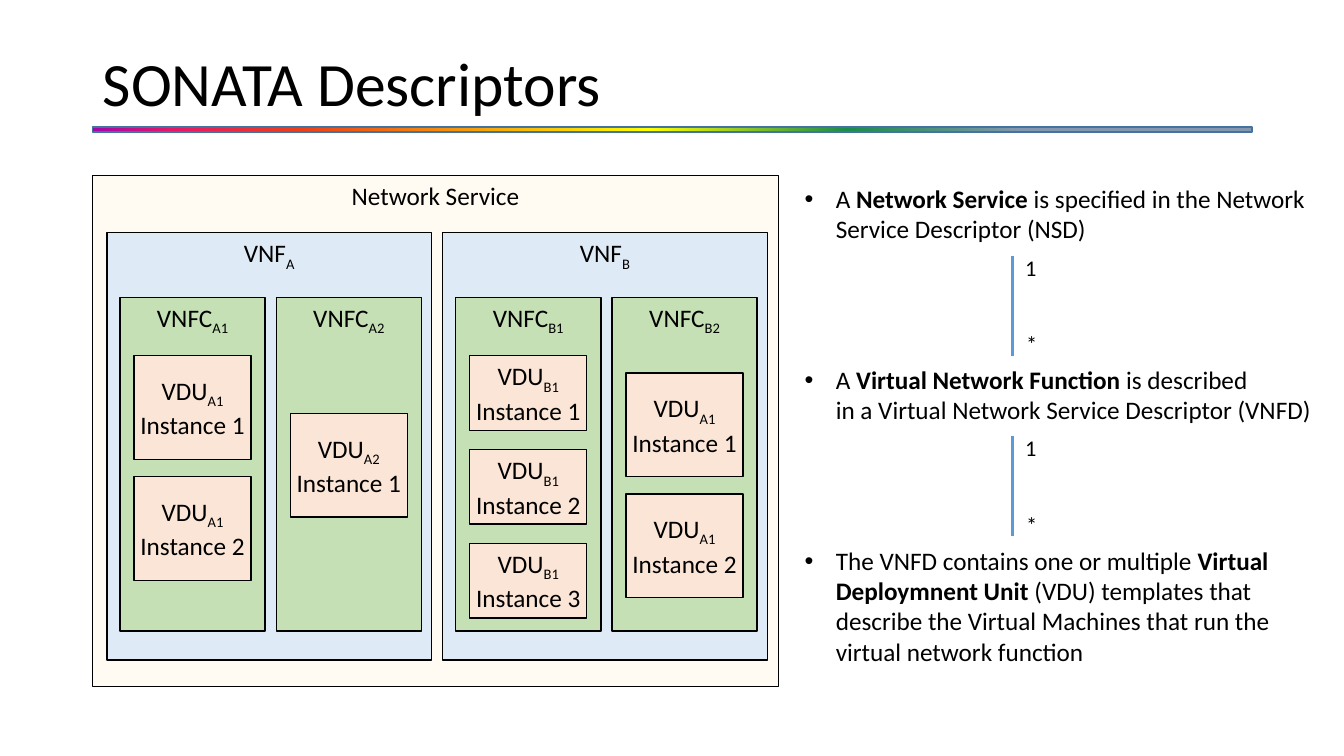
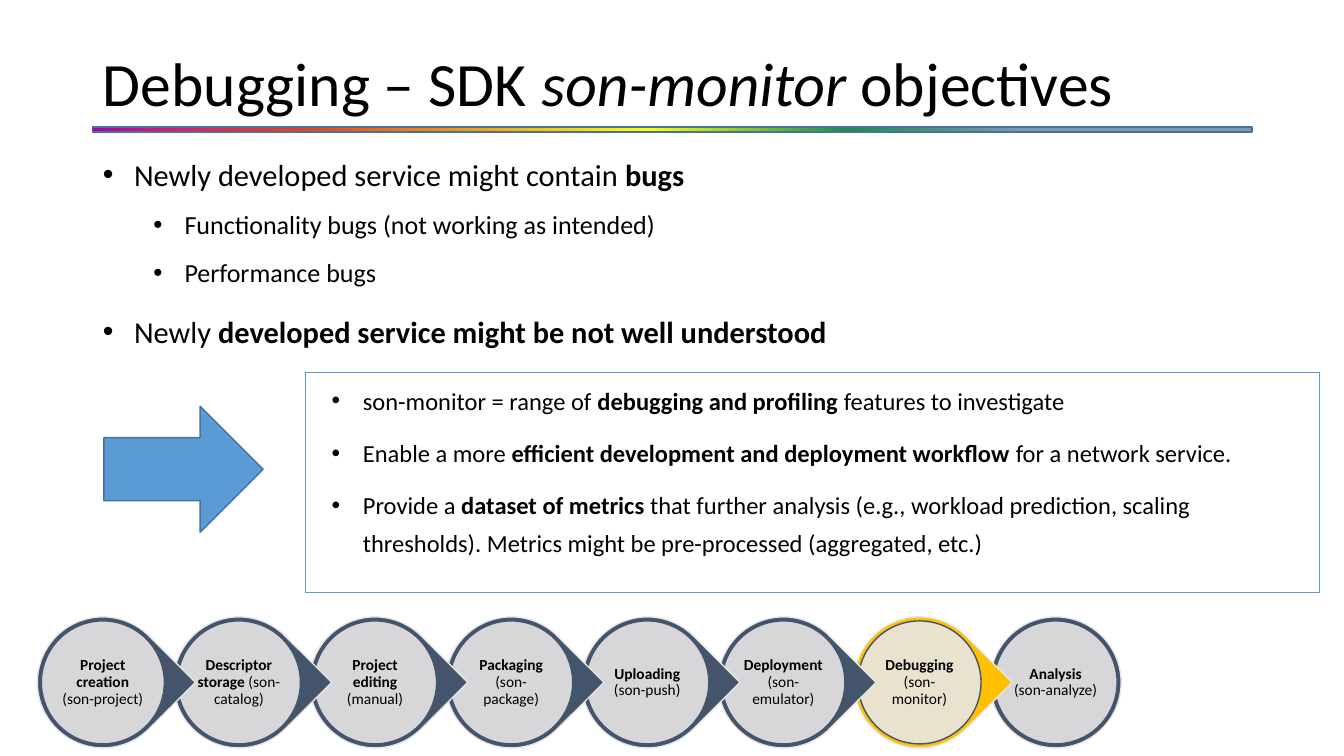
from lxml import etree
from pptx import Presentation
from pptx.dml.color import RGBColor
from pptx.enum.shapes import MSO_CONNECTOR, MSO_SHAPE
from pptx.enum.text import MSO_ANCHOR, MSO_AUTO_SIZE, PP_ALIGN
from pptx.oxml.ns import qn
from pptx.util import Inches, Pt

RECTANGLE = MSO_SHAPE.RECTANGLE
ELLIPSE = MSO_SHAPE.OVAL
TEARDROP = MSO_SHAPE.TEAR
RIGHT_ARROW = MSO_SHAPE.RIGHT_ARROW
STRAIGHT = MSO_CONNECTOR.STRAIGHT
TOP, MIDDLE = MSO_ANCHOR.TOP, MSO_ANCHOR.MIDDLE
LEFT, CENTER = PP_ALIGN.LEFT, PP_ALIGN.CENTER
NO_AUTOFIT = MSO_AUTO_SIZE.NONE

FONT = "Calibri"
BLACK, WHITE = "000000", "FFFFFF"
BLUE, DARK_BLUE = "5B9BD5", "43739E"
SLATE, LIGHT_GREY, AMBER = "44546A", "E7E6E6", "FFC000"
CREAM, PALE_BLUE, PALE_GREEN, PEACH = "FFF2CC", "DEEBF7", "C5E0B4", "FBE5D6"
RAINBOW = [(0, "A603AB"), (7, "E81766"), (18, "EE3F17"),
           (48, "FFFF00"), (65, "1A8D48"), (80, "8497B0")]
MARGIN, CONTENT_WIDTH = 0.92, 11.5


def color(value):
    return RGBColor.from_string(value)


class Deck:
    """Holds the shared style and the slide being built."""

    def __init__(self):
        self.presentation = Presentation()
        self.presentation.slide_width = Inches(13.33)
        self.presentation.slide_height = Inches(7.5)
        self.slide = None

    def new_slide(self, title_runs):
        layout = self.presentation.slide_layouts[1]
        self.slide = self.presentation.slides.add_slide(layout)
        self.rainbow_bar()
        title = self.slide.shapes.title
        self.place(title, MARGIN, 0.4, CONTENT_WIDTH, 0.91)
        self.frame(title, MIDDLE)
        self.add_runs(title.text_frame.paragraphs[0], title_runs, 44, LEFT, 0.9)

    def rainbow_bar(self):
        bar = self.shape(RECTANGLE, MARGIN, 1.26, CONTENT_WIDTH, 0.05, WHITE, DARK_BLUE)
        properties = bar._element.spPr
        solid = properties.find(qn("a:solidFill"))
        gradient = etree.Element(qn("a:gradFill"), rotWithShape="1")
        stops = etree.SubElement(gradient, qn("a:gsLst"))
        for position, value in RAINBOW:
            stop = etree.SubElement(stops, qn("a:gs"), pos=str(position * 1000))
            etree.SubElement(stop, qn("a:srgbClr"), val=value)
        etree.SubElement(gradient, qn("a:lin"), ang="0", scaled="0")
        properties.replace(solid, gradient)

    def place(self, shape, left, top, width, height):
        shape.left, shape.top = Inches(left), Inches(top)
        shape.width, shape.height = Inches(width), Inches(height)

    def frame(self, shape, anchor=TOP, side=0.1, edge=0.05, wrap=True):
        text_frame = shape.text_frame
        text_frame.auto_size = NO_AUTOFIT
        text_frame.word_wrap = wrap
        text_frame.vertical_anchor = anchor
        text_frame.margin_left = text_frame.margin_right = Inches(side)
        text_frame.margin_top = text_frame.margin_bottom = Inches(edge)
        return text_frame

    def add_runs(self, paragraph, runs, size, align=LEFT, spacing=1.0, before=0):
        """Runs are (text, style) pairs; style is '', 'b', 'i' or 'sub'."""
        paragraph.alignment = align
        paragraph.line_spacing = spacing
        paragraph.space_before = Pt(before)
        for text, style in runs:
            if text == "\n":
                paragraph.add_line_break()
                etree.SubElement(paragraph._p[-1], qn("a:rPr"), sz=str(int(size * 100)))
                continue
            run = paragraph.add_run()
            run.text = text
            run.font.name = FONT
            run.font.size = Pt(size)
            run.font.color.rgb = color(BLACK)
            run.font.bold = style == "b"
            run.font.italic = style == "i"
            if style == "sub":
                run._r.get_or_add_rPr().set("baseline", "-25000")

    def bullets(self, text_frame, items, sizes, spacing, gaps):
        """Items are (level, runs); sizes and gaps are given by level."""
        for index, (level, runs) in enumerate(items):
            paragraph = text_frame.add_paragraph() if index else text_frame.paragraphs[0]
            paragraph.level = level
            properties = paragraph._p.get_or_add_pPr()
            properties.set("marL", str(Inches(0.31 + 0.5 * level)))
            properties.set("indent", str(Inches(-0.31)))
            etree.SubElement(properties, qn("a:buFont"), typeface="Arial")
            etree.SubElement(properties, qn("a:buChar"), char="•")
            before = gaps[level] if index else 0
            self.add_runs(paragraph, runs, sizes[level], LEFT, spacing, before)

    def body(self, left, top, width, height, items, sizes, spacing, gaps):
        placeholder = self.slide.placeholders[1]
        self.place(placeholder, left, top, width, height)
        self.bullets(self.frame(placeholder), items, sizes, spacing, gaps)

    def shape(self, kind, left, top, width, height, fill, line, opacity=100, weight=1):
        shape = self.slide.shapes.add_shape(
            kind, Inches(left), Inches(top), Inches(width), Inches(height))
        shape.shadow.inherit = False
        shape.fill.solid()
        shape.fill.fore_color.rgb = color(fill)
        shape.line.color.rgb = color(line)
        shape.line.width = Pt(weight)
        if opacity < 100:
            fill_color = shape._element.spPr.find(qn("a:solidFill"))[0]
            etree.SubElement(fill_color, qn("a:alpha"), val=str(opacity * 1000))
        return shape

    def box(self, left, top, width, height, fill, runs, anchor=TOP, side=0.1, opacity=100):
        box = self.shape(RECTANGLE, left, top, width, height, fill, BLACK, opacity)
        paragraph = self.frame(box, anchor, side).paragraphs[0]
        self.add_runs(paragraph, runs, 18, CENTER)

    def label(self, left, top, text):
        label = self.slide.shapes.add_textbox(
            Inches(left), Inches(top), Inches(0.32), Inches(0.37))
        paragraph = self.frame(label, wrap=False).paragraphs[0]
        self.add_runs(paragraph, [(text, "")], 16)

    def relation(self, left, top):
        """A one-to-many line between two descriptors."""
        line = self.slide.shapes.add_connector(
            STRAIGHT, Inches(left), Inches(top), Inches(left), Inches(top + 0.99))
        line.line.color.rgb = color(BLUE)
        line.line.width = Pt(2)
        etree.SubElement(line._element.spPr, qn("a:effectLst"))
        self.label(left + 0.03, top - 0.07, "1")
        self.label(left + 0.04, top + 0.69, "*")

    def step(self, left, name, tool, accent, is_last):
        """One circle of the workflow chain, pointing right unless last."""
        kind = ELLIPSE if is_last else TEARDROP
        outer = self.shape(kind, left, 6.12, 1.3, 1.3, accent, LIGHT_GREY)
        if not is_last:
            outer.rotation = 45
        inner = self.shape(ELLIPSE, left + 0.04, 6.16, 1.22, 1.22, LIGHT_GREY, SLATE, 90)
        paragraph = self.frame(inner, MIDDLE, 0.01, 0.01).paragraphs[0]
        self.add_runs(paragraph, [(name + " ", "b"), (f"({tool})", "")], 11, CENTER, 0.9)


def descriptors_slide(deck):
    deck.new_slide([("SONATA Descriptors", "")])

    # Nested boxes: service, functions, components, deployment units
    deck.box(MARGIN, 1.74, 6.8, 5.07, CREAM, [("Network Service", "")], opacity=25)
    # Each component: unit name, first top, unit height, pitch, instances
    functions = [
        ("A", 1.06, [("A1", 3.53, 1.03, 1.2, 2), ("A2", 4.1, 1.03, 1.2, 1)]),
        ("B", 4.39, [("B1", 3.53, 0.74, 0.93, 3), ("A1", 3.7, 1.03, 1.2, 2)]),
    ]
    for function, function_left, components in functions:
        deck.box(function_left, 2.31, 3.22, 4.24, PALE_BLUE,
                 [("VNF", ""), (function, "sub")])
        for column, (unit, top, height, pitch, count) in enumerate(components):
            left = function_left + 0.13 + 1.55 * column
            deck.box(left, 2.95, 1.44, 3.31, PALE_GREEN,
                     [("VNFC", ""), (f"{function}{column + 1}", "sub")])
            for instance in range(count):
                deck.box(left + 0.14, top + pitch * instance, 1.16, height, PEACH,
                         [("VDU", ""), (unit, "sub"), ("\n", ""),
                          (f"Instance {instance + 1}", "")], MIDDLE, 0.02)

    # Explanations and their relations
    items = [
        (0, [("A ", ""), ("Network Service", "b"),
             (" is specified in the Network Service Descriptor (NSD)", "")]),
        (0, [("A ", ""), ("Virtual Network Function ", "b"), ("is described", ""),
             ("\n", ""), ("in a Virtual Network Service Descriptor (VNFD)", "")]),
        (0, [("The VNFD contains one or multiple ", ""),
             ("Virtual Deploymnent Unit", "b"),
             (" (VDU) templates that describe the Virtual Machines that run the "
              "virtual network function", "")]),
    ]
    deck.body(7.88, 1.77, 5.3, 4.95, items, [18], 1.0, [86])
    for top in (2.54, 4.33):
        deck.relation(10.04, top)


def debugging_slide(deck):
    deck.new_slide([("Debugging – SDK ", ""), ("son-monitor", "i"), (" objectives", "")])

    # Motivation
    items = [
        (0, [("Newly developed service might contain ", ""), ("bugs", "b")]),
        (1, [("Functionality bugs (not working as intended)", "")]),
        (1, [("Performance bugs", "")]),
        (0, [("Newly ", ""), ("developed service might be not well understood", "b")]),
    ]
    deck.body(MARGIN, 1.39, CONTENT_WIDTH, 2.22, items, [21.7, 18.6], 1.3, [10, 5])

    # Arrow and objectives
    deck.shape(RIGHT_ARROW, 1.03, 4.03, 1.58, 1.25, BLUE, DARK_BLUE)
    objectives = [
        (0, [("son-monitor = range of ", ""), ("debugging and profiling ", "b"),
             ("features to investigate", "")]),
        (0, [("Enable a more ", ""),
             ("efficient development and deployment workflow ", "b"),
             ("for a network service.", "")]),
        (0, [("Provide a ", ""), ("dataset of metrics ", "b"),
             ("that further analysis (e.g., workload prediction, scaling thresholds). "
              "Metrics might be pre-processed (aggregated, etc.)", "")]),
    ]
    panel = deck.shape(RECTANGLE, 3.03, 3.69, 10.06, 2.19, WHITE, BLUE, weight=0.5)
    text_frame = deck.frame(panel)
    text_frame.margin_left = Inches(0.26)
    deck.bullets(text_frame, objectives, [17.5], 1.3, [10])

    # Workflow chain, drawn from the last step so that each tip lies on top
    steps = [
        ("Project creation", "son-project"), ("Descriptor storage", "son-catalog"),
        ("Project editing", "manual"), ("Packaging", "son-package"),
        ("Uploading", "son-push"), ("Deployment", "son-emulator"),
        ("Debugging", "son-monitor"), ("Analysis", "son-analyze"),
    ]
    last = len(steps) - 1
    for index in range(last, -1, -1):
        name, tool = steps[index]
        accent = AMBER if name == "Debugging" else SLATE
        deck.step(0.37 + 1.35 * index, name, tool, accent, index == last)


def main():
    deck = Deck()
    descriptors_slide(deck)
    debugging_slide(deck)
    deck.presentation.save("out.pptx")


if __name__ == "__main__":
    main()
